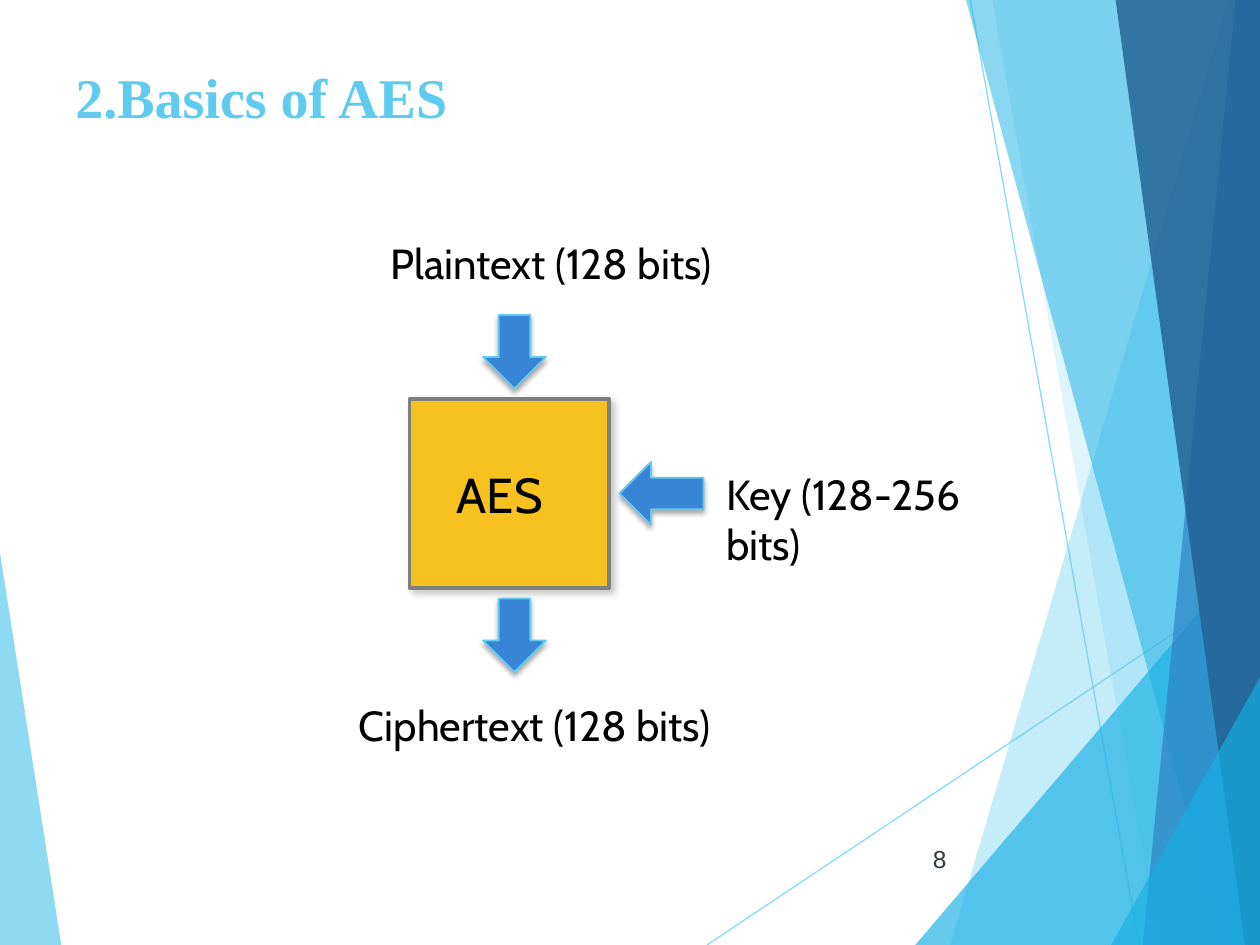
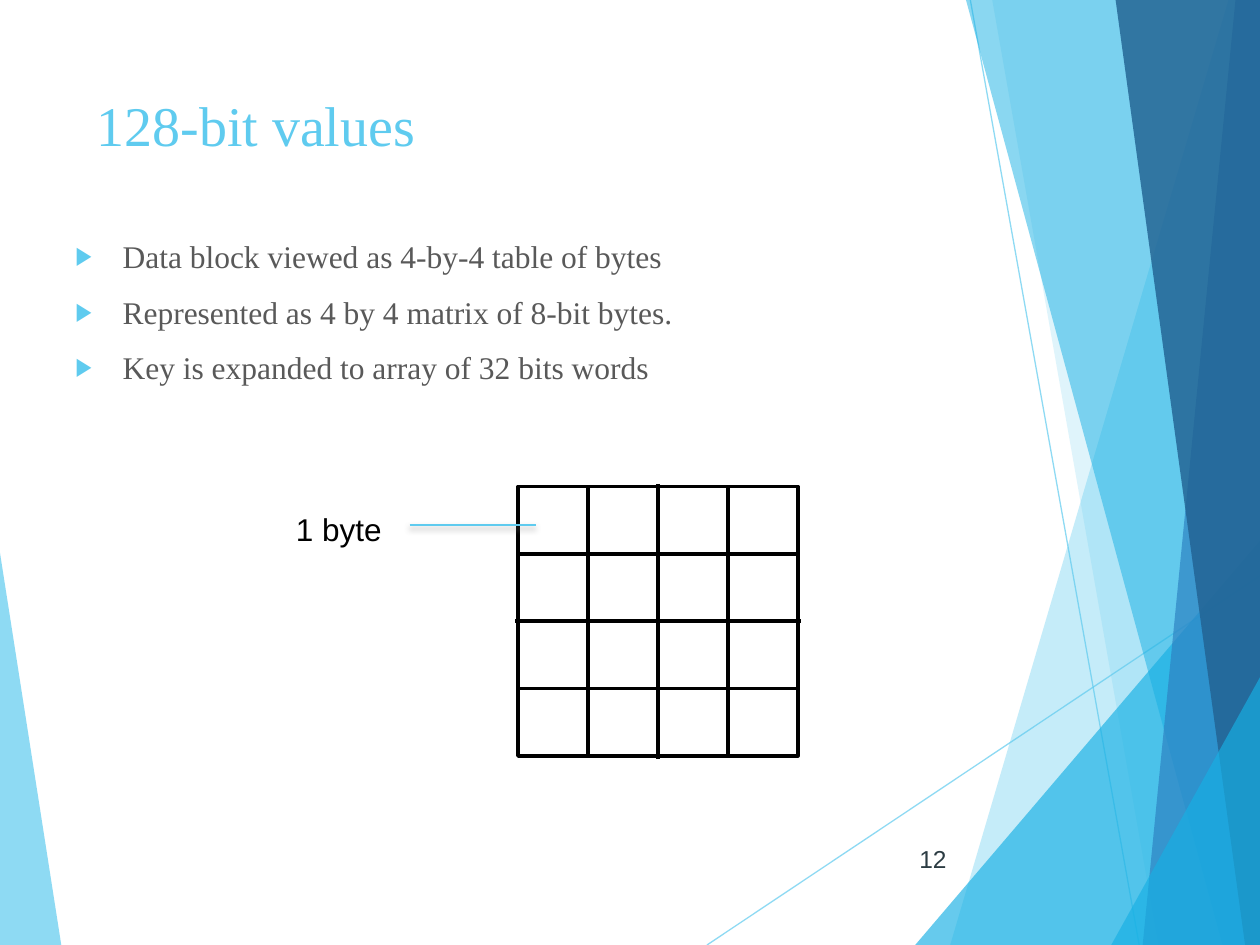
"""Build two slides on the basics of AES and its 128-bit values."""
from lxml import etree
from pptx import Presentation
from pptx.dml.color import RGBColor
from pptx.enum.shapes import MSO_CONNECTOR, MSO_SHAPE
from pptx.enum.text import MSO_ANCHOR, PP_ALIGN
from pptx.oxml.ns import qn
from pptx.util import Pt

STRAIGHT = MSO_CONNECTOR.STRAIGHT
RECTANGLE = MSO_SHAPE.RECTANGLE
DOWN_ARROW = MSO_SHAPE.DOWN_ARROW
LEFT_ARROW = MSO_SHAPE.LEFT_ARROW
TOP, MIDDLE = MSO_ANCHOR.TOP, MSO_ANCHOR.MIDDLE
LEFT, RIGHT = PP_ALIGN.LEFT, PP_ALIGN.RIGHT

WIDTH, HEIGHT = 720, 540
BLANK_LAYOUT = 6
SERIF, SANS, DIAGRAM = "Times New Roman", "Arial", "Cabin"

COLOURS = {
    "sky": "5FCBEF",
    "cyan": "17B0E4",
    "blue": "2E83C3",
    "navy": "226292",
    "arrow": "3885D6",
    "amber": "F7C120",
    "grey": "7F7F7F",
    "shade": "808080",
    "body": "595959",
    "number": "2C3C43",
    "white": "FFFFFF",
    "black": "000000",
}

# Shadows: colour, opacity %, blur, distance, direction in degrees
BOX_SHADOW = ("shade", 43, 4, 3, 45)
ARROW_SHADOW = ("black", 35, 3, 2, 90)
POINTER_SHADOW = ("shade", 40, 3, 2, 90)

LEFT_FACET = ("sky", 70, [(0, 316), (35, HEIGHT), (0, HEIGHT)])
RIGHT_FACETS = [
    ("sky", 36, [(702, 0), (543, HEIGHT), (WIDTH, HEIGHT), (WIDTH, 0)]),
    ("sky", 20, [(567, 0), (662, HEIGHT), (WIDTH, HEIGHT), (WIDTH, 0)]),
    ("cyan", 66, [(523, HEIGHT), (WIDTH, 309), (WIDTH, HEIGHT)]),
    ("cyan", 50, [(552, 0), (698.5, HEIGHT), (WIDTH, HEIGHT), (WIDTH, 0)]),
    ("blue", 70, [(706, 0), (653, HEIGHT), (WIDTH, HEIGHT), (WIDTH, 0)]),
    ("navy", 82, [(637.5, 0), (711.5, HEIGHT), (WIDTH, HEIGHT), (WIDTH, 0)]),
    ("cyan", 66, [(635, HEIGHT), (WIDTH, 387), (WIDTH, HEIGHT)]),
]
FACET_LINES = [((404, HEIGHT), (WIDTH, 329)), ((554.5, 0), (651, HEIGHT))]


def rgb(name):
    """Return the named colour."""
    return RGBColor.from_string(COLOURS[name])


def add_xml(parent, tag, **attributes):
    """Append a DrawingML element and return it."""
    values = {key: str(value) for key, value in attributes.items()}
    return etree.SubElement(parent, qn(f"a:{tag}"), values)


def set_opacity(shape, percent):
    """Make every colour of a shape partly transparent."""
    for colour in shape._element.spPr.iter(qn("a:srgbClr")):
        add_xml(colour, "alpha", val=percent * 1000)


def set_shadow(shape, shadow):
    """Replace the theme shadow, with none unless one is given."""
    effects = add_xml(shape._element.spPr, "effectLst")
    if shadow:
        name, opacity, blur, distance, degrees = shadow
        outer = add_xml(effects, "outerShdw", blurRad=Pt(blur), dist=Pt(distance),
                        dir=degrees * 60000, algn="ctr", rotWithShape=0)
        colour = add_xml(outer, "srgbClr", val=COLOURS[name])
        add_xml(colour, "alpha", val=opacity * 1000)


def add_facet(slide, fill, opacity, corners):
    """Draw one translucent polygon of the background."""
    start, *others = [(Pt(x), Pt(y)) for x, y in corners]
    builder = slide.shapes.build_freeform(*start)
    builder.add_line_segments(others)
    facet = builder.convert_to_shape()
    facet.fill.solid()
    facet.fill.fore_color.rgb = rgb(fill)
    facet.line.fill.background()
    set_opacity(facet, opacity)
    set_shadow(facet, None)


def add_line(slide, start, end, colour, weight, shadow=None):
    """Draw a straight line between two points."""
    line = slide.shapes.add_connector(STRAIGHT, *map(Pt, start + end))
    line.line.color.rgb = rgb(colour)
    line.line.width = Pt(weight)
    set_shadow(line, shadow)
    return line


def add_box(slide, preset, box, fill, outline, weight, shadow=None):
    """Draw an outlined preset shape, unfilled when fill is None."""
    shape = slide.shapes.add_shape(preset, *map(Pt, box))
    if fill:
        shape.fill.solid()
        shape.fill.fore_color.rgb = rgb(fill)
    else:
        shape.fill.background()
    shape.line.color.rgb = rgb(outline)
    shape.line.width = Pt(weight)
    set_shadow(shape, shadow)
    return shape


def write(paragraph, text, size, font, colour, bold=False, align=LEFT):
    """Add one formatted run to a paragraph."""
    paragraph.alignment = align
    run = paragraph.add_run()
    run.text = text
    run.font.size = Pt(size)
    run.font.name = font
    run.font.bold = bold
    run.font.color.rgb = rgb(colour)


def add_frame(slide, box, anchor=TOP, wrap=True):
    """Add an empty text box and return its text frame."""
    frame = slide.shapes.add_textbox(*map(Pt, box)).text_frame
    frame.word_wrap = wrap
    frame.vertical_anchor = anchor
    return frame


def add_label(slide, box, text, size, font):
    """Add a one-line black label to a diagram."""
    frame = add_frame(slide, box, wrap=False)
    write(frame.paragraphs[0], text, size, font, "black")


def add_bullets(slide, box, items):
    """Add a list with triangular bullets."""
    frame = add_frame(slide, box)
    for index, item in enumerate(items):
        paragraph = frame.add_paragraph() if index else frame.paragraphs[0]
        paragraph.space_before = Pt(10)
        write(paragraph, item, 18, SERIF, "body")
        properties = paragraph._p.get_or_add_pPr()
        properties.set("marL", str(Pt(27)))
        properties.set("indent", str(Pt(-27)))
        add_xml(add_xml(properties, "buClr"), "srgbClr", val=COLOURS["sky"])
        add_xml(properties, "buSzPct", val=80000)
        add_xml(properties, "buFont", typeface=SANS)
        add_xml(properties, "buChar", char="▶")


def add_slide(deck, title, title_box, number, bold=False):
    """Add a slide with the shared background, title and number."""
    slide = deck.slides.add_slide(deck.slide_layouts[BLANK_LAYOUT])
    add_facet(slide, *LEFT_FACET)
    for start, end in FACET_LINES:
        set_opacity(add_line(slide, start, end, "sky", 0.75), 70)
    for facet in RIGHT_FACETS:
        add_facet(slide, *facet)
    heading = add_frame(slide, title_box)
    write(heading.paragraphs[0], title, 32, SERIF, "sky", bold)
    footer = add_frame(slide, (507.5, 476, 40.5, 29), MIDDLE)
    write(footer.paragraphs[0], number, 14, SANS, "number", align=RIGHT)
    return slide


def add_cipher_diagram(slide):
    """Draw the AES block with its inputs and output."""
    cipher = add_box(slide, RECTANGLE, (234, 228, 114, 108), "amber", "grey", 2, BOX_SHADOW)
    frame = cipher.text_frame
    frame.margin_left = Pt(27)
    frame.vertical_anchor = MIDDLE
    write(frame.paragraphs[0], "AES", 28, DIAGRAM, "black")

    for box, text in [
        ((216, 132, 200, 37), "Plaintext (128 bits)"),
        ((198, 396, 223, 37), "Ciphertext (128 bits)"),
        ((408, 264, 195, 37), "Key (128-256 bits)"),
    ]:
        add_label(slide, box, text, 24, DIAGRAM)

    for preset, box in [
        (DOWN_ARROW, (276, 180, 36, 42)),
        (DOWN_ARROW, (276, 342, 36, 42)),
        (LEFT_ARROW, (354, 264, 48, 36)),
    ]:
        add_box(slide, preset, box, "arrow", "sky", 1, ARROW_SHADOW)


def add_byte_matrix(slide):
    """Draw the 4-by-4 matrix and point out one byte."""
    left, top, cell_width, cell_height, overhang = 296, 278, 40, 38.5, 1.5
    right, bottom = left + 4 * cell_width, top + 4 * cell_height
    centre, middle = (left + right) / 2, (top + bottom) / 2

    for column, row, columns, rows, fill in [
        (0, 0, 4, 4, "white"), (1, 0, 2, 4, "white"), (0, 1, 4, 2, None),
    ]:
        box = (left + column * cell_width, top + row * cell_height,
               columns * cell_width, rows * cell_height)
        add_box(slide, RECTANGLE, box, fill, "black", 2)
    add_line(slide, (centre, top - overhang), (centre, bottom + overhang), "black", 2)
    add_line(slide, (left - overhang, middle), (right + overhang, middle), "black", 2)

    add_label(slide, (162, 288, 64, 29), "1 byte", 18, SANS)
    add_line(slide, (234, 300), (306, 300), "sky", 1.5, POINTER_SHADOW)


def main():
    """Build and save the deck."""
    deck = Presentation()
    deck.slide_width, deck.slide_height = Pt(WIDTH), Pt(HEIGHT)

    basics = add_slide(deck, "2.Basics of AES", (36, 32, 648, 100), "8", bold=True)
    add_cipher_diagram(basics)

    values = add_slide(deck, "128-bit values", (48, 48, 500, 104), "12")
    add_bullets(values, (36, 132, 648, 192), [
        "Data block viewed as 4-by-4 table of bytes",
        "Represented as 4 by 4 matrix of 8-bit bytes.",
        "Key is expanded to array of 32 bits words",
    ])
    add_byte_matrix(values)

    deck.save("out.pptx")


if __name__ == "__main__":
    main()
